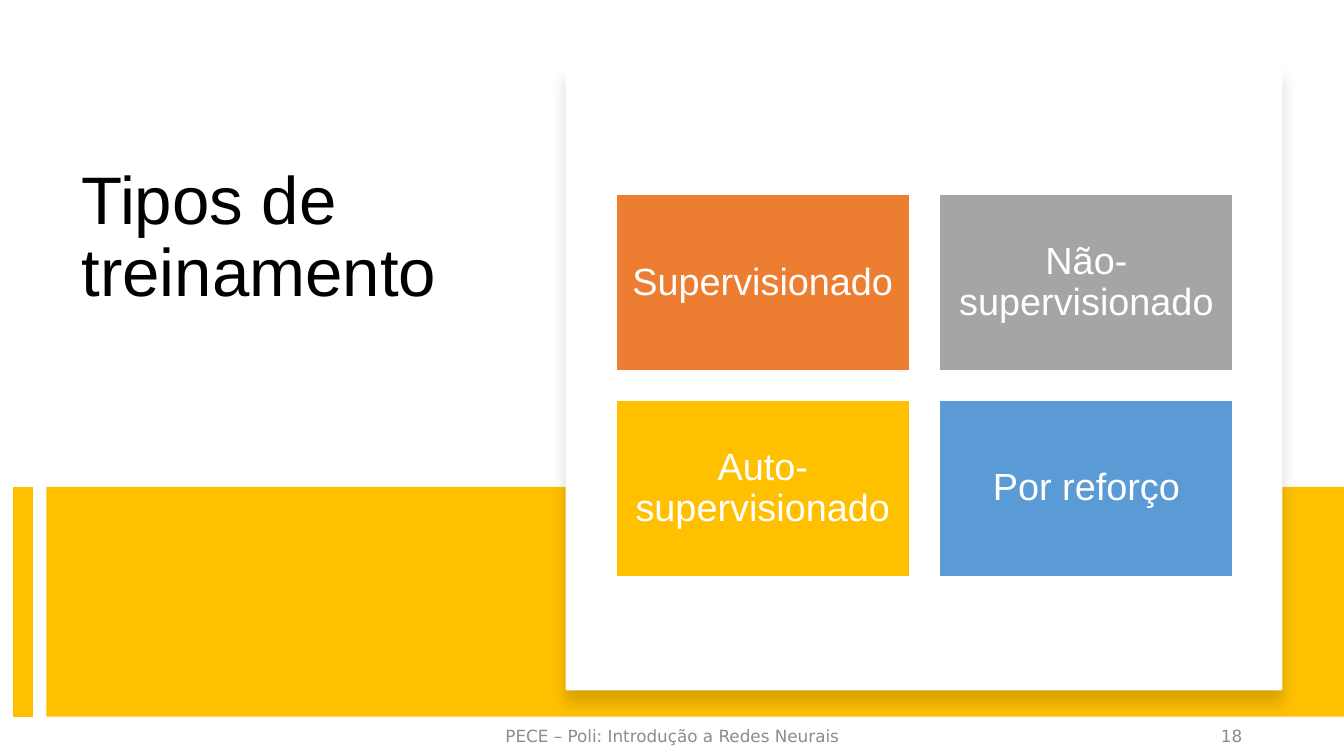
from lxml.etree import SubElement
from pptx import Presentation
from pptx.dml.color import RGBColor
from pptx.enum.shapes import MSO_CONNECTOR, MSO_SHAPE
from pptx.enum.text import MSO_ANCHOR, PP_ALIGN
from pptx.oxml.ns import qn
from pptx.util import Inches, Pt

SLIDE_WIDTH, SLIDE_HEIGHT = 13.33, 7.5
BAND_TOP, BAND_BOTTOM = 4.83, 7.11
FOOTER_TOP, FOOTER_HEIGHT = 7.1, 0.4
YELLOW, WHITE, BLACK, FOOTER_GRAY = "FFC000", "FFFFFF", "000000", "8C8C8C"

# Grid of training types
GRID_LEFT, GRID_TOP = 6.11, 1.93
TILE_WIDTH, TILE_HEIGHT, TILE_GAP = 2.91, 1.75, 0.3
GRID_COLUMNS = 2
TRAINING_TYPES = [
    ("Supervisionado", "ED7D31"),
    ("Não-supervisionado", "A5A5A5"),
    ("Auto-supervisionado", YELLOW),
    ("Por reforço", "5B9BD5"),
]


def color(hex_code):
    return RGBColor.from_string(hex_code)


def write(holder, text, size=12, font="Arial", ink=BLACK, align=PP_ALIGN.LEFT,
          anchor=MSO_ANCHOR.TOP, spacing=1.0, after=0, inset=None):
    frame = holder.text_frame
    frame.word_wrap = True
    frame.vertical_anchor = anchor
    if inset is not None:
        frame.margin_left = frame.margin_right = Inches(inset)
        frame.margin_top = frame.margin_bottom = Inches(inset)
    paragraph = frame.paragraphs[0]
    paragraph.alignment = align
    paragraph.line_spacing = spacing
    paragraph.space_after = Pt(after)
    run = paragraph.add_run()
    run.text = text
    run.font.size = Pt(size)
    run.font.name = font
    run.font.color.rgb = color(ink)


def add_label(slide, box, text, **text_format):
    label = slide.shapes.add_textbox(*map(Inches, box))
    write(label, text, **text_format)


def add_panel(slide, box, fill, outline=None):
    panel = slide.shapes.add_shape(MSO_SHAPE.RECTANGLE, *map(Inches, box))
    panel.shadow.inherit = False
    panel.fill.solid()
    panel.fill.fore_color.rgb = color(fill)
    if outline:
        panel.line.color.rgb = color(outline)
        panel.line.width = Pt(1)
    else:
        panel.line.fill.background()
    return panel


def add_soft_shadow(panel):
    effects = panel._element.spPr.find(qn("a:effectLst"))
    shadow = SubElement(effects, qn("a:outerShdw"), blurRad=str(Pt(11)),
                        dist=str(Pt(10)), dir="5400000", algn="t", rotWithShape="0")
    shade = SubElement(shadow, qn("a:srgbClr"), val=BLACK)
    SubElement(shade, qn("a:alpha"), val="15000")


def add_vertical_bar(slide, x, top, bottom, ink, width):
    bar = slide.shapes.add_connector(
        MSO_CONNECTOR.STRAIGHT, Inches(x), Inches(top), Inches(x), Inches(bottom))
    bar.line.color.rgb = color(ink)
    bar.line.width = Pt(width)
    SubElement(bar._element.spPr, qn("a:effectLst"))


def add_training_tile(slide, index, name, fill):
    row, column = divmod(index, GRID_COLUMNS)
    left = GRID_LEFT + column * (TILE_WIDTH + TILE_GAP)
    top = GRID_TOP + row * (TILE_HEIGHT + TILE_GAP - 0.01)
    tile = add_panel(slide, (left, top, TILE_WIDTH, TILE_HEIGHT), fill, WHITE)
    write(tile, name, size=27, ink=WHITE, align=PP_ALIGN.CENTER,
          anchor=MSO_ANCHOR.MIDDLE, spacing=0.9, inset=0.11)


def add_footer(slide, left, width, text, align):
    add_label(slide, (left, FOOTER_TOP, width, FOOTER_HEIGHT), text,
              font="DejaVu Sans", ink=FOOTER_GRAY, align=align,
              anchor=MSO_ANCHOR.MIDDLE, after=6)


def main():
    deck = Presentation()
    deck.slide_width, deck.slide_height = Inches(SLIDE_WIDTH), Inches(SLIDE_HEIGHT)
    slide = deck.slides.add_slide(deck.slide_layouts[6])

    # Title
    add_label(slide, (0.71, 1.6, 4.15, 2.94), "Tipos de treinamento",
              size=48, spacing=0.9)

    # Yellow band and its side bar
    band_left = 0.46
    add_panel(slide, (band_left, BAND_TOP, SLIDE_WIDTH - band_left,
                      BAND_BOTTOM - BAND_TOP), YELLOW)
    add_vertical_bar(slide, band_left / 2, BAND_TOP, BAND_BOTTOM, YELLOW, 14)

    # White card
    card = add_panel(slide, (5.61, 0.64, 7.11, 6.21), WHITE)
    add_soft_shadow(card)

    # Footer
    add_footer(slide, 4.42, 4.5, "PECE – Poli: Introdução a Redes Neurais",
               PP_ALIGN.CENTER)
    add_footer(slide, 9.42, 3, "18", PP_ALIGN.RIGHT)

    # Training types
    for index, (name, fill) in enumerate(TRAINING_TYPES):
        add_training_tile(slide, index, name, fill)

    deck.save("out.pptx")


if __name__ == "__main__":
    main()
